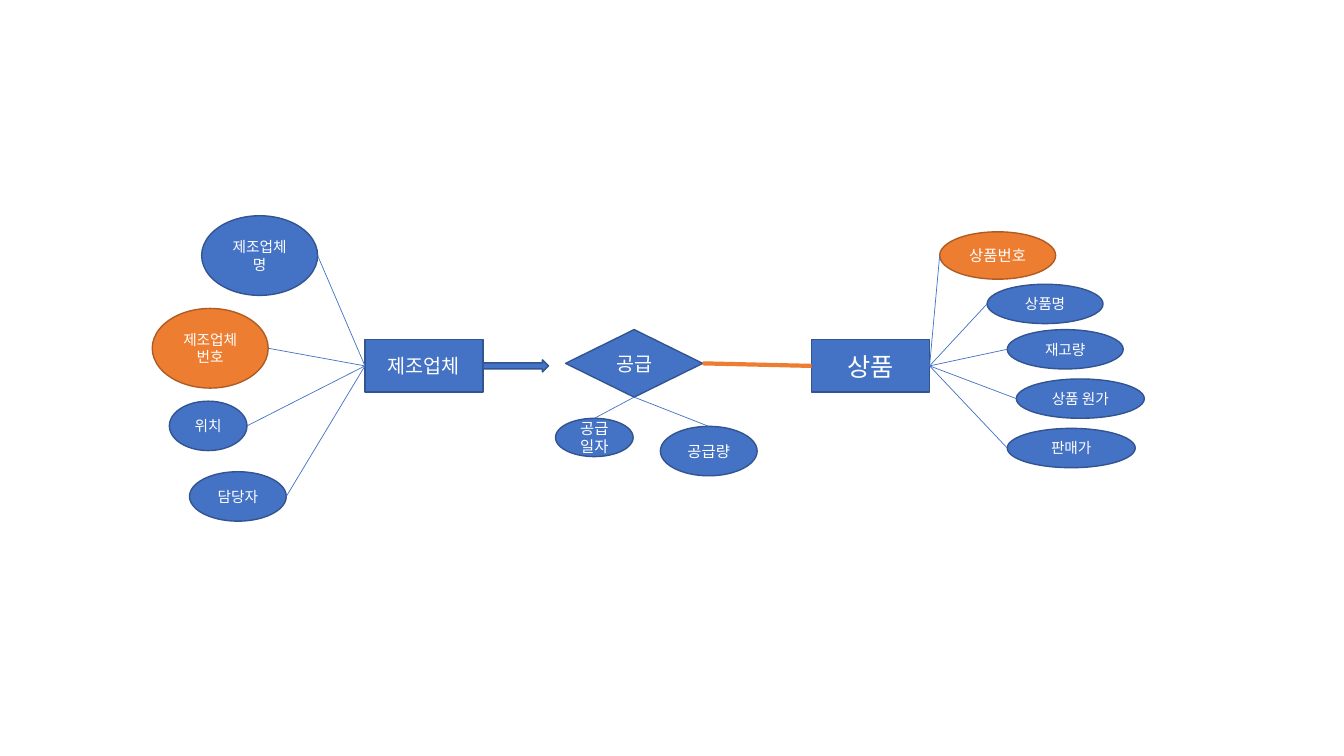
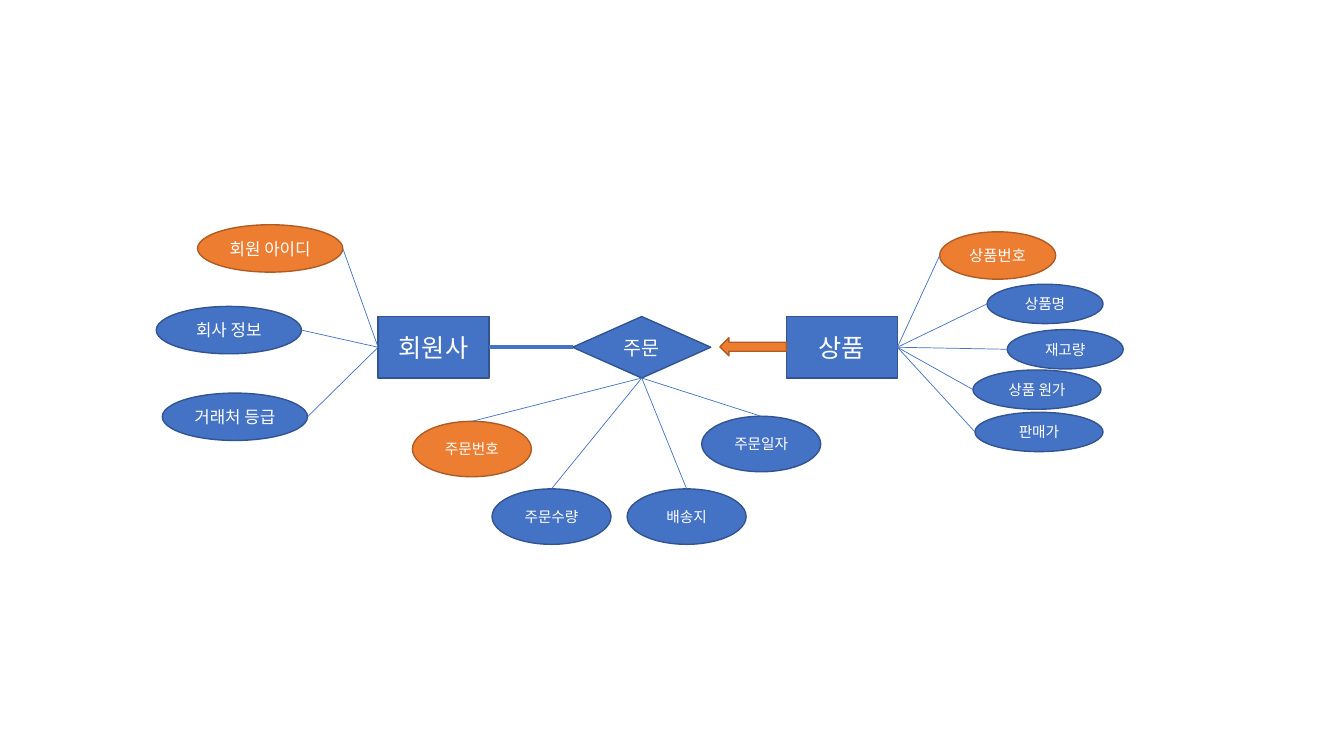
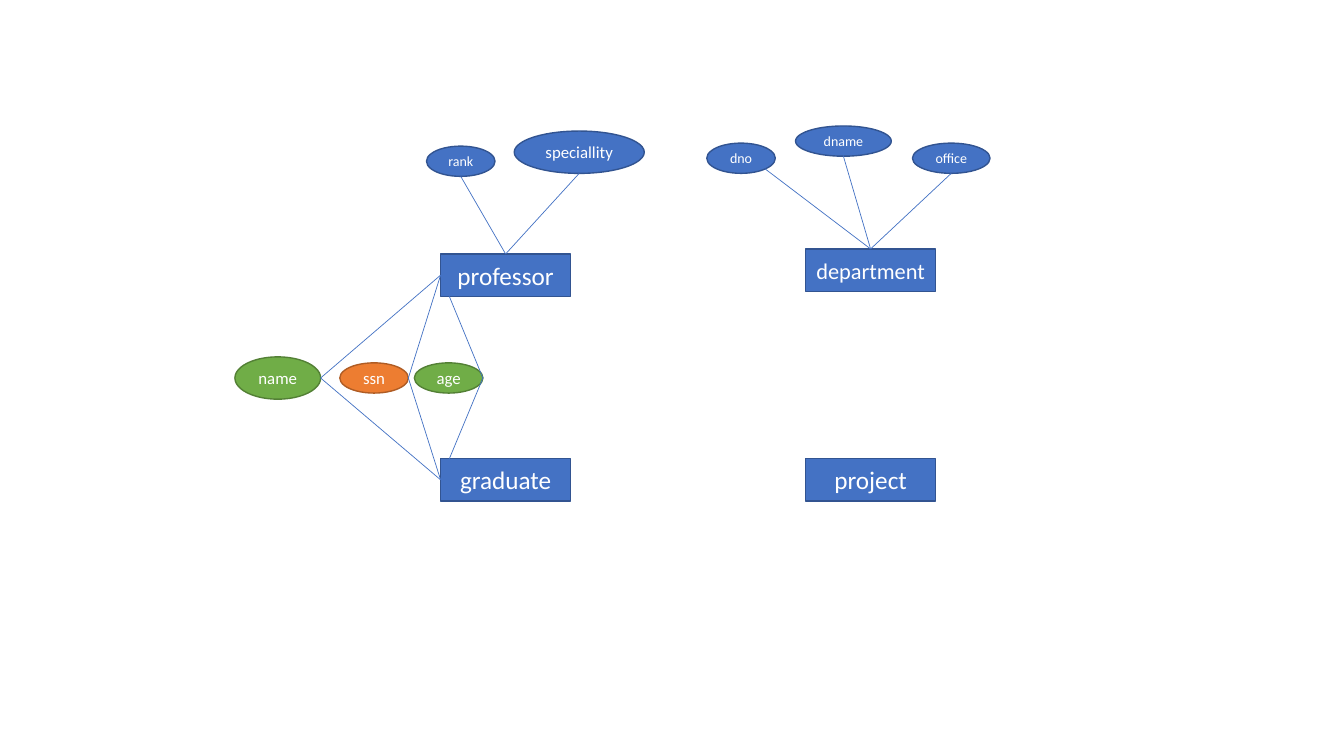
from pptx import Presentation
from pptx.dml.color import RGBColor
from pptx.enum.shapes import MSO_CONNECTOR, MSO_SHAPE
from pptx.enum.text import MSO_ANCHOR, PP_ALIGN
from pptx.oxml.ns import qn
from pptx.util import Inches, Pt
from lxml import etree

FONT = "Calibri"
WHITE = "FFFFFF"
BLUE, ORANGE, GREEN = "4472C4", "ED7D31", "70AD47"
OUTLINES = {BLUE: "325491", ORANGE: "AF5C24", GREEN: "538035"}
THIN, THICK = 0.5, 3

ENTITY = MSO_SHAPE.FLOWCHART_PROCESS
RELATION = MSO_SHAPE.FLOWCHART_DECISION
ATTRIBUTE = MSO_SHAPE.OVAL

SIDES = {
    "top": (0.5, 0),
    "left": (0, 0.5),
    "bottom": (0.5, 1),
    "right": (1, 0.5),
    "lower right": (0.85, 0.85),
}
BOX_SITES = {"top": 0, "left": 1, "bottom": 2, "right": 3}
SITES = {ENTITY: BOX_SITES, RELATION: BOX_SITES, ATTRIBUTE: {"top": 0}}

PRODUCT_ATTRIBUTES = ["상품번호", "상품명", "재고량", "상품 원가", "판매가"]
PRODUCT_NODES = [
    (ATTRIBUTE, 1.15, 0.47, 11, [("상품번호", 9.32, 2.3, ORANGE)]),
    (ATTRIBUTE, 1.15, 0.39, 10.5, [
        ("상품명", 9.79, 2.82, BLUE),
        ("재고량", 9.99, 3.27, BLUE),
    ]),
]

SUPPLY = {
    "nodes": [
        (RELATION, 1.36, 0.67, 14, [("공급", 5.61, 3.27, BLUE)]),
        (ENTITY, 1.17, 0.52, 14, [("제조업체", 3.62, 3.37, BLUE)]),
        (ENTITY, 1.17, 0.52, 18, [("상품", 8.05, 3.37, BLUE)]),
        (ATTRIBUTE, 0.77, 0.38, 11, [("공급일자", 5.51, 4.15, BLUE)]),
        (ATTRIBUTE, 0.96, 0.49, 11, [("공급량", 6.55, 4.23, BLUE)]),
        (ATTRIBUTE, 1.15, 0.79, 10.5, [
            ("제조업체 명", 2, 2.14, BLUE),
            ("제조업체 번호", 1.51, 3.06, ORANGE),
        ]),
        (ATTRIBUTE, 0.77, 0.49, 10.5, [("위치", 1.68, 3.98, BLUE)]),
        (ATTRIBUTE, 0.96, 0.49, 10.5, [("담당자", 1.88, 4.68, BLUE)]),
        *PRODUCT_NODES,
        (ATTRIBUTE, 1.27, 0.39, 10.5, [
            ("상품 원가", 10.08, 3.76, BLUE),
            ("판매가", 9.99, 4.25, BLUE),
        ]),
    ],
    "arrows": [(MSO_SHAPE.RIGHT_ARROW, 4.79, 3.57, 0.65, 0.12, BLUE)],
    "links": [
        ("공급", "bottom", "top", ["공급일자", "공급량"], BLUE, THIN),
        ("공급", "right", "left", ["상품"], ORANGE, THICK),
        ("제조업체", "left", "right",
         ["제조업체 명", "제조업체 번호", "위치", "담당자"], BLUE, THIN),
        ("상품", "right", "left", PRODUCT_ATTRIBUTES, BLUE, THIN),
    ],
}

ORDER = {
    "nodes": [
        (RELATION, 1.37, 0.61, 14, [("주문", 5.68, 3.14, BLUE)]),
        (ENTITY, 1.1, 0.61, 18, [
            ("상품", 7.8, 3.14, BLUE),
            ("회원사", 3.75, 3.14, BLUE),
        ]),
        (ATTRIBUTE, 1.18, 0.55, 10.5, [
            ("배송지", 6.22, 4.85, BLUE),
            ("주문일자", 6.96, 4.13, BLUE),
            ("주문번호", 4.09, 4.18, ORANGE),
            ("주문수량", 4.88, 4.85, BLUE),
        ]),
        *PRODUCT_NODES,
        (ATTRIBUTE, 1.27, 0.39, 10.5, [
            ("상품 원가", 9.65, 3.67, BLUE),
            ("판매가", 9.67, 4.09, BLUE),
        ]),
        (ATTRIBUTE, 1.44, 0.47, 12, [
            ("회원 아이디", 1.96, 2.23, ORANGE),
            ("회사 정보", 1.55, 3.04, BLUE),
            ("거래처 등급", 1.61, 3.9, BLUE),
        ]),
    ],
    "arrows": [(MSO_SHAPE.LEFT_ARROW, 7.14, 3.35, 0.66, 0.18, ORANGE)],
    "links": [
        ("회원사", "right", "left", ["주문"], BLUE, THICK),
        ("주문", "bottom", "top",
         ["배송지", "주문일자", "주문번호", "주문수량"], BLUE, THIN),
        ("상품", "right", "left", PRODUCT_ATTRIBUTES, BLUE, THIN),
        ("회원사", "left", "right",
         ["회원 아이디", "회사 정보", "거래처 등급"], BLUE, THIN),
    ],
}

UNIVERSITY = {
    "nodes": [
        (ENTITY, 1.29, 0.42, 18, [
            ("professor", 4.37, 2.52, BLUE),
            ("graduate", 4.37, 4.55, BLUE),
            ("project", 7.99, 4.55, BLUE),
        ]),
        (ENTITY, 1.29, 0.42, 16, [("department", 7.99, 2.47, BLUE)]),
        (ATTRIBUTE, 0.68, 0.3, 12, [
            ("age", 4.11, 3.6, GREEN),
            ("ssn", 3.37, 3.6, ORANGE),
        ]),
        (ATTRIBUTE, 0.85, 0.42, 12, [("name", 2.33, 3.54, GREEN)]),
        (ATTRIBUTE, 1.29, 0.42, 12, [("speciallity", 5.1, 1.3, BLUE)]),
        (ATTRIBUTE, 0.68, 0.3, 10, [
            ("rank", 4.23, 1.45, BLUE),
            ("dno", 7.01, 1.42, BLUE),
        ]),
        (ATTRIBUTE, 0.95, 0.3, 10, [("dname", 7.89, 1.25, BLUE)]),
        (ATTRIBUTE, 0.77, 0.3, 10, [("office", 9.05, 1.42, BLUE)]),
    ],
    "arrows": [],
    "links": [
        ("professor", "left", "right", ["name", "ssn", "age"], BLUE, THIN),
        ("graduate", "left", "right", ["name", "ssn", "age"], BLUE, THIN),
        ("professor", "top", "bottom", ["rank", "speciallity"], BLUE, THIN),
        ("department", "top", "lower right", ["dno"], BLUE, THIN),
        ("department", "top", "bottom", ["dname", "office"], BLUE, THIN),
    ],
}


def color(value):
    return RGBColor.from_string(value)


def add_filled_shape(slide, preset, box, fill):
    shape = slide.shapes.add_shape(preset, *map(Inches, box))
    shape.shadow.inherit = False
    shape.fill.solid()
    shape.fill.fore_color.rgb = color(fill)
    shape.line.color.rgb = color(OUTLINES[fill])
    shape.line.width = Pt(1)
    return shape


def write_label(shape, text, points):
    frame = shape.text_frame
    frame.word_wrap = True
    frame.vertical_anchor = MSO_ANCHOR.MIDDLE
    paragraph = frame.paragraphs[0]
    paragraph.alignment = PP_ALIGN.CENTER
    run = paragraph.add_run()
    run.text = text
    for name, value in {"name": FONT, "size": Pt(points)}.items():
        setattr(run.font, name, value)
    run.font.color.rgb = color(WHITE)


def side_point(shape, side):
    across, down = SIDES[side]
    return (int(shape.left + shape.width * across),
            int(shape.top + shape.height * down))


def add_link(slide, start, start_side, end, end_side, line_color, width):
    connector = slide.shapes.add_connector(
        MSO_CONNECTOR.STRAIGHT,
        *side_point(start, start_side), *side_point(end, end_side))
    joins = [(start, start_side, connector.begin_connect),
             (end, end_side, connector.end_connect)]
    for shape, side, connect in joins:
        site = SITES[shape.auto_shape_type].get(side)
        if site is not None:
            connect(shape, site)
    connector.line.color.rgb = color(line_color)
    connector.line.width = Pt(width)
    properties = connector._element.spPr
    etree.SubElement(properties, qn("a:effectLst"))


def draw_diagram(presentation, diagram):
    slide = presentation.slides.add_slide(presentation.slide_layouts[6])
    shapes = {}
    for preset, width, height, points, items in diagram["nodes"]:
        for text, left, top, fill in items:
            shape = add_filled_shape(
                slide, preset, (left, top, width, height), fill)
            write_label(shape, text, points)
            shapes[text] = shape
    for preset, *box, fill in diagram["arrows"]:
        add_filled_shape(slide, preset, box, fill)
    for start, start_side, end_side, ends, line_color, width in diagram["links"]:
        for end in ends:
            add_link(slide, shapes[start], start_side,
                     shapes[end], end_side, line_color, width)


def main():
    presentation = Presentation()
    presentation.slide_width = Inches(13.33)
    presentation.slide_height = Inches(7.5)
    for diagram in (SUPPLY, ORDER, UNIVERSITY):
        draw_diagram(presentation, diagram)
    presentation.save("out.pptx")


if __name__ == "__main__":
    main()
